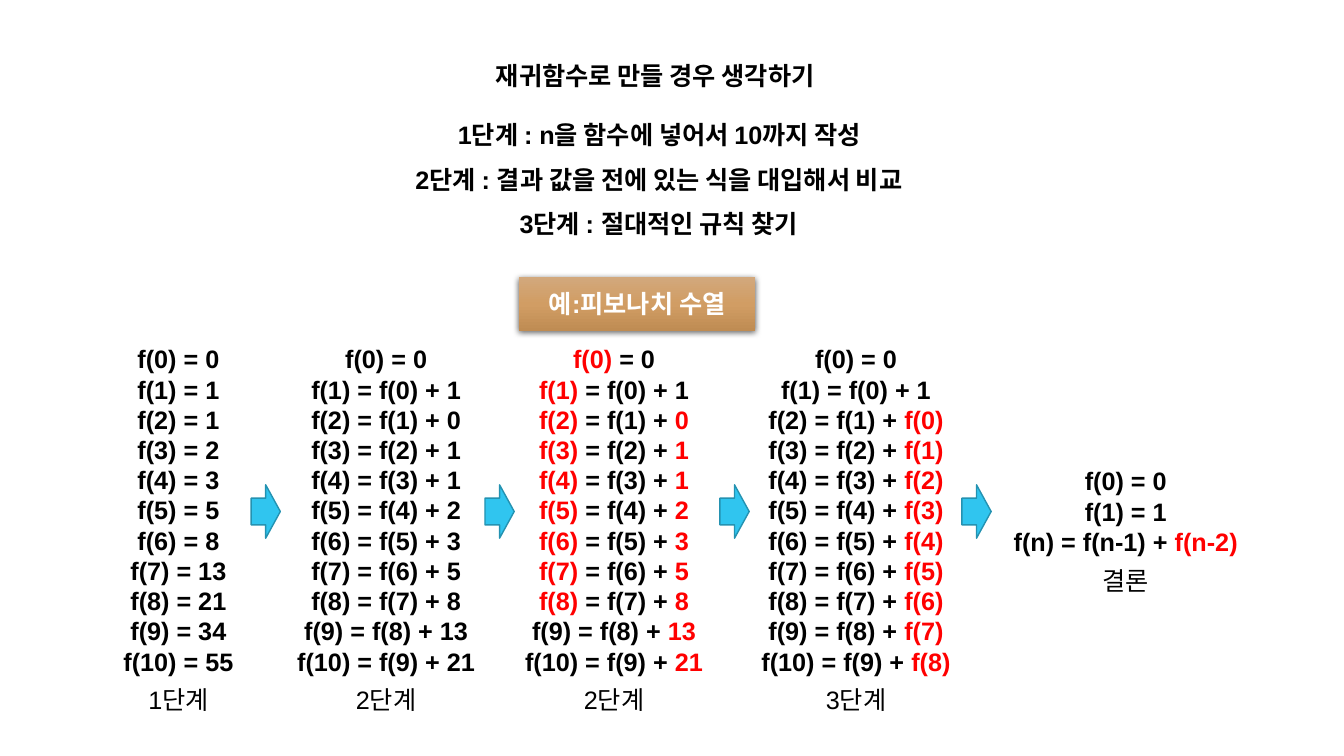
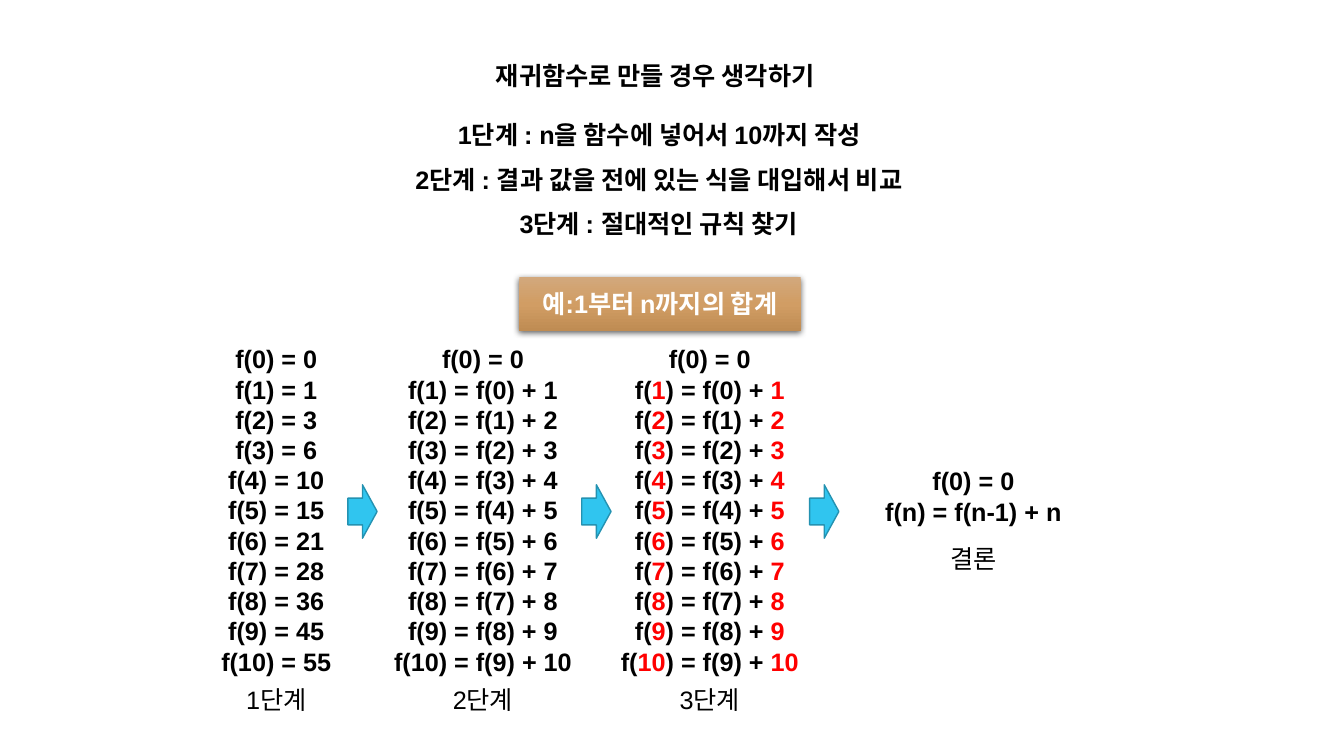
"""Two slides on finding a recursive function: Fibonacci numbers and the sum from 1 to n."""
from lxml import etree
from pptx import Presentation
from pptx.dml.color import RGBColor
from pptx.enum.shapes import MSO_SHAPE as Shape
from pptx.enum.text import MSO_ANCHOR as Anchor, MSO_AUTO_SIZE as AutoSize, PP_ALIGN as Align
from pptx.oxml import parse_xml
from pptx.oxml.ns import qn
from pptx.util import Inches, Pt

BLACK = RGBColor(0x00, 0x00, 0x00)
RED = RGBColor(0xFF, 0x00, 0x00)
WHITE = RGBColor(0xFF, 0xFF, 0xFF)
ARROW_FILL = RGBColor(0x30, 0xC5, 0xEF)
ARROW_LINE = RGBColor(0x24, 0x92, 0xB1)
BANNER_STOPS = [
    (0, RGBColor(0xD2, 0xA8, 0x7C)),
    (50000, RGBColor(0xD1, 0x9D, 0x64)),
    (100000, RGBColor(0xBF, 0x8C, 0x53)),
]
FONT = "Arial"
DRAWING = "http://schemas.openxmlformats.org/drawingml/2006/main"
LINE_HEIGHT = 0.4
LABEL_WIDTH = 0.85
CONCLUSION_WIDTH = 0.71

HEADINGS = [
    ("재귀함수로 만들 경우 생각하기", 4.82, 0.55, 3.69, Align.LEFT),
    ("1단계 : n을 함수에 넣어서 10까지 작성", 4.26, 1.13, 4.56, Align.CENTER),
    ("2단계 : 결과 값을 전에 있는 식을 대입해서 비교", 3.77, 1.58, 5.53, Align.CENTER),
    ("3단계 : 절대적인 규칙 찾기", 4.92, 2.02, 3.23, Align.CENTER),
]

STEPS = range(2, 11)
fibonacci = [0, 1]
for n in STEPS:
    fibonacci.append(fibonacci[n - 1] + fibonacci[n - 2])
sums = [n * (n + 1) // 2 for n in range(11)]

fibonacci_marked = ["*f(0) *= 0", "*f(1) *= f(0) + 1"]
for n in STEPS:
    start = f"*f({n}) *=" if n < 9 else f"f({n}) ="
    fibonacci_marked.append(f"{start} f({n - 1}) + *{fibonacci[n - 2]}*")

SLIDES = [
    {
        "banner": ("예:피보나치 수열", 2.34),
        "columns": [
            ("1단계", 1.12, 1.3, [f"f({n}) = {value}" for n, value in enumerate(fibonacci)]),
            ("2단계", 2.84, 1.98, ["f(0) = 0", "f(1) = f(0) + 1"]
             + [f"f({n}) = f({n - 1}) + {fibonacci[n - 2]}" for n in STEPS]),
            ("2단계", 5.1, 1.98, fibonacci_marked),
            ("3단계", 7.44, 2.1, ["f(0) = 0", "f(1) = f(0) + 1"]
             + [f"f({n}) = f({n - 1}) + *f({n - 2})*" for n in STEPS]),
        ],
        "arrows": [2.49, 4.81, 7.14, 9.54],
        "conclusion": (["f(0) = 0", "f(1) = 1", "f(n) = f(n-1) + *f(n-2)*"], 9.94, 2.45, 1.01, 5.56),
    },
    {
        "banner": ("예:1부터 n까지의 합계", 2.79),
        "columns": [
            ("1단계", 2.09, 1.3, [f"f({n}) = {value}" for n, value in enumerate(sums)]),
            ("2단계", 3.8, 1.98, ["f(0) = 0"]
             + [f"f({n}) = f({n - 1}) + {n}" for n in range(1, 11)]),
            ("3단계", 6.05, 1.98, ["f(0) = 0"]
             + [f"f(*{n}*) = f({n - 1}) + *{n}*" for n in range(1, 11)]),
        ],
        "arrows": [3.45, 5.77, 8.03],
        "conclusion": (["f(0) = 0", "f(n) = f(n-1) + n"], 8.67, 1.97, 0.71, 5.34),
    },
]


def write_lines(frame, lines, color=BLACK, bold=True, align=Align.CENTER):
    """Write one paragraph per line, with the parts between asterisks in red."""
    for index, line in enumerate(lines):
        para = frame.paragraphs[0] if index == 0 else frame.add_paragraph()
        para.alignment = align
        for position, part in enumerate(line.split("*")):
            if part:
                span = para.add_run()
                span.text = part
                span.font.name = FONT
                span.font.size = Pt(18)
                span.font.bold = bold
                span.font.color.rgb = RED if position % 2 else color


def add_text(page, lines, left, top, width, height=LINE_HEIGHT, **style):
    """Add a text box that grows with its unwrapped lines."""
    box = page.shapes.add_textbox(Inches(left), Inches(top), Inches(width), Inches(height))
    box.text_frame.word_wrap = False
    box.text_frame.auto_size = AutoSize.SHAPE_TO_FIT_TEXT
    write_lines(box.text_frame, lines, **style)


deck = Presentation()
deck.slide_width = Inches(13.33)
deck.slide_height = Inches(7.5)

for content in SLIDES:
    page = deck.slides.add_slide(deck.slide_layouts[6])

    for text, left, top, width, align in HEADINGS:
        add_text(page, [text], left, top, width, align=align)

    for label, left, width, lines in content["columns"]:
        add_text(page, lines, left, 3.36, width, 3.43)
        label_left = left + (width - LABEL_WIDTH) / 2
        add_text(page, [label], label_left, 6.74, LABEL_WIDTH, bold=False)

    for left in content["arrows"]:
        arrow = page.shapes.add_shape(
            Shape.RIGHT_ARROW, Inches(left), Inches(4.81), Inches(0.29), Inches(0.53))
        arrow.shadow.inherit = False
        arrow.fill.solid()
        arrow.fill.fore_color.rgb = ARROW_FILL
        arrow.line.color.rgb = ARROW_LINE
        arrow.line.width = Pt(1)

    lines, left, width, height, label_top = content["conclusion"]
    add_text(page, lines, left, 4.57, width, height)
    label_left = left + (width - CONCLUSION_WIDTH) / 2
    add_text(page, ["결론"], label_left, label_top, CONCLUSION_WIDTH, bold=False)

    text, width = content["banner"]
    banner = page.shapes.add_shape(
        Shape.RECTANGLE, Inches(5.15), Inches(2.75), Inches(width), Inches(0.53))
    banner.line.fill.background()
    banner.shadow.inherit = False
    stops = "".join(
        f'<a:gs pos="{position}"><a:srgbClr val="{color}"/></a:gs>'
        for position, color in BANNER_STOPS)
    properties = banner._element.spPr
    properties.find(qn("a:ln")).addprevious(parse_xml(
        f'<a:gradFill xmlns:a="{DRAWING}" rotWithShape="1"><a:gsLst>{stops}</a:gsLst>'
        '<a:lin ang="5400000" scaled="0"/></a:gradFill>'))
    shadow = etree.SubElement(
        properties.find(qn("a:effectLst")), qn("a:outerShdw"),
        blurRad=str(Pt(4.5)), dist=str(Pt(1.5)), dir="5400000", algn="ctr", rotWithShape="0")
    shadow_color = etree.SubElement(shadow, qn("a:srgbClr"), val=str(BLACK))
    etree.SubElement(shadow_color, qn("a:alpha"), val="63000")
    banner.text_frame.word_wrap = True
    banner.text_frame.vertical_anchor = Anchor.MIDDLE
    write_lines(banner.text_frame, [text], color=WHITE)

deck.save("out.pptx")
